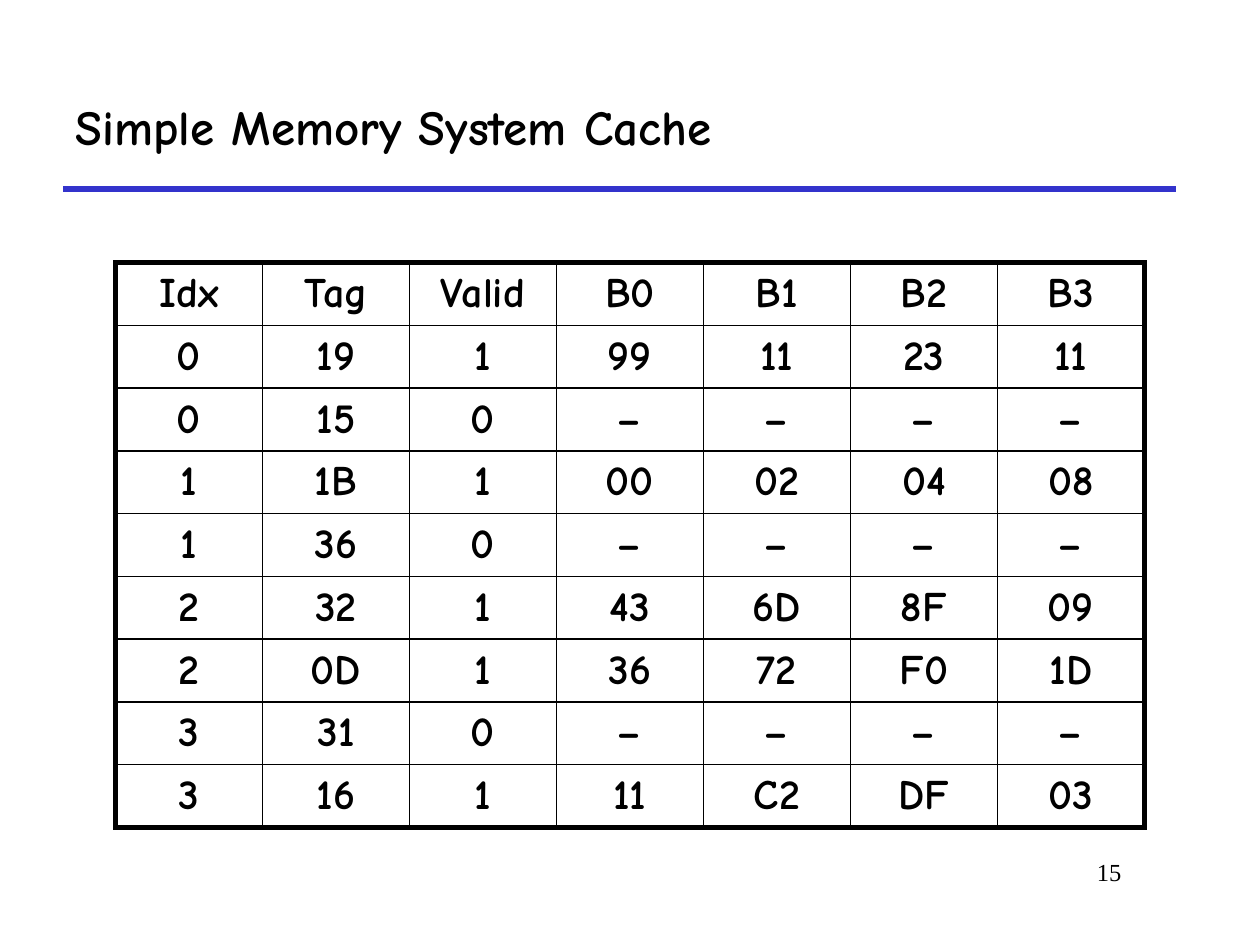
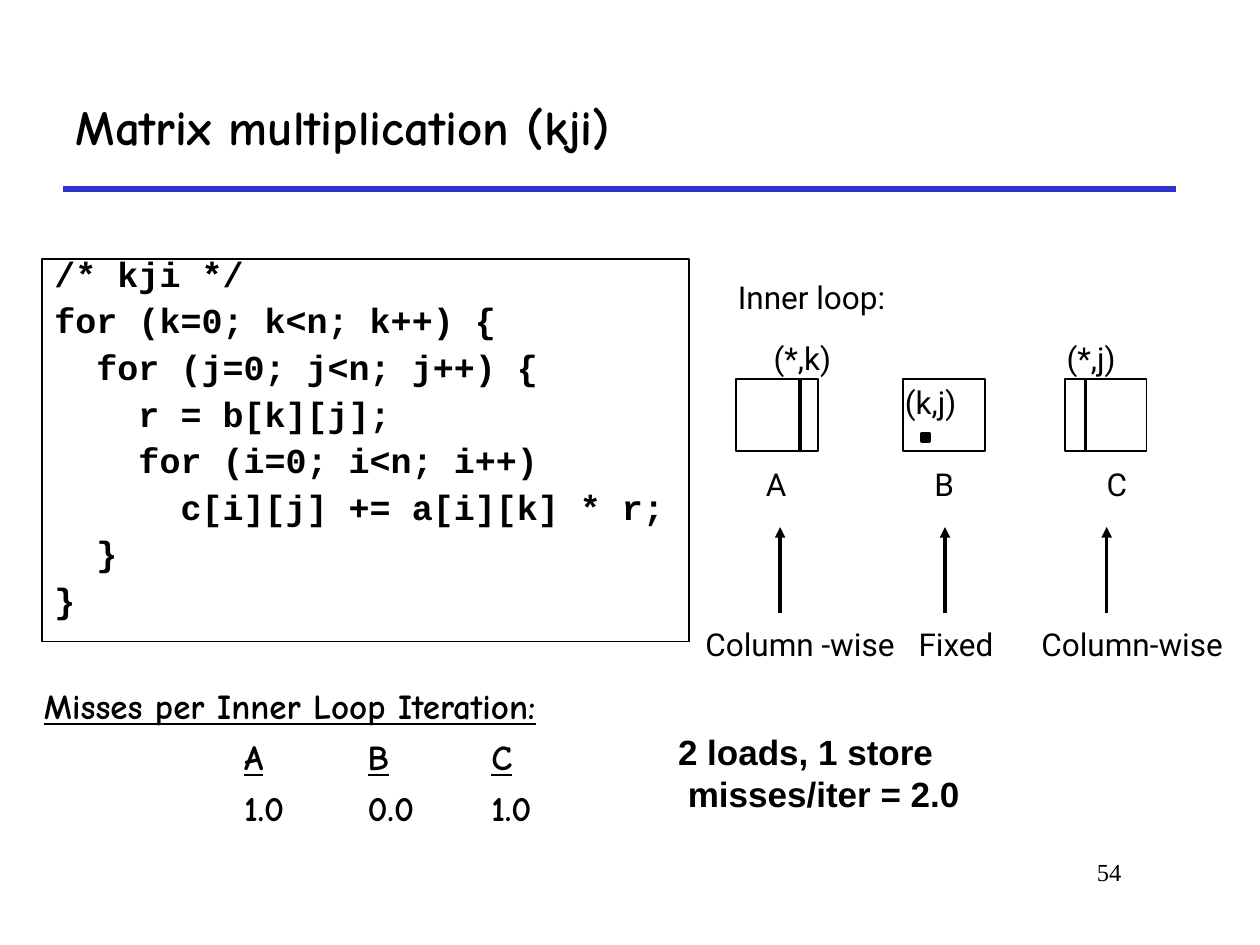
from dataclasses import dataclass
from typing import Any, NamedTuple, Optional

from pptx import Presentation
from pptx.dml.color import RGBColor
from pptx.enum.shapes import MSO_CONNECTOR, MSO_SHAPE
from pptx.enum.text import MSO_ANCHOR, MSO_AUTO_SIZE, PP_ALIGN
from pptx.oxml.xmlchemy import OxmlElement
from pptx.util import Emu, Inches, Pt


@dataclass(frozen=True)
class Theme:
    ink: RGBColor = RGBColor(0x00, 0x00, 0x00)
    paper: RGBColor = RGBColor(0xFF, 0xFF, 0xFF)
    rule: RGBColor = RGBColor(0x33, 0x33, 0xCC)
    heading_font: str = "Comic Neue"
    code_font: str = "Courier New"
    label_font: str = "Roboto"
    result_font: str = "Arial"
    number_font: str = "Times New Roman"
    title_size: int = 28
    table_size: int = 24
    text_size: int = 20
    label_size: int = 18
    number_size: int = 14
    thin: int = 1
    medium: int = 2
    thick: int = 3


THEME = Theme()

# The slide is a grid of 120 columns by 90 rows
UNIT = Inches(10) / 120


class Box(NamedTuple):
    column: float
    row: float
    columns: float
    rows: float


@dataclass(frozen=True)
class Matrix:
    """One matrix of the inner loop; positions are grid columns."""
    name: str
    square: float
    name_column: float
    index: str
    index_box: Box
    access: str
    access_column: float
    access_columns: float
    arrow: float
    stripe: Optional[float] = None


SQUARE_ROW, SQUARE_COLUMNS, SQUARE_ROWS = 36.1, 7.8, 6.85
NAME_ROW, ARROW_TOP, ARROW_FOOT, ACCESS_ROW = 43.7, 50.2, 58.4, 58.9
LABEL_ROWS = 4.8

CACHE = [line.split() for line in (
    "Idx Tag Valid B0 B1 B2 B3",
    "0 19 1 99 11 23 11",
    "0 15 0 – – – –",
    "1 1B 1 00 02 04 08",
    "1 36 0 – – – –",
    "2 32 1 43 6D 8F 09",
    "2 0D 1 36 72 F0 1D",
    "3 31 0 – – – –",
    "3 16 1 11 C2 DF 03",
)]

KJI_CODE = """/* kji */
for (k=0; k<n; k++) {
  for (j=0; j<n; j++) {
    r = b[k][j];
    for (i=0; i<n; i++)
      c[i][j] += a[i][k] * r;
  }
}"""

MATRICES = (
    Matrix("A", 70.1, 71.75, "(*,k)", Box(72.5, 31.7, 7.9, LABEL_ROWS),
           "Column -wise", 66, 23, 74.3, 76.2),
    Matrix("B", 86, 87.8, "(k,j)", Box(85, 35.9, 7.3, LABEL_ROWS),
           "Fixed", 86.3, 9.7, 90),
    Matrix("C", 101.4, 104.2, "(*,j)", Box(100.4, 31.7, 7.1, LABEL_ROWS),
           "Column-wise", 98, 20, 105.4, 103.4),
)
MISSES = {"A": "1.0", "B": "0.0", "C": "1.0"}


def grid(units: float) -> Emu:
    return Emu(round(units * UNIT))


def place(box: Box) -> tuple[Emu, ...]:
    return tuple(grid(side) for side in box)


def apply_format(target: Any, values: dict[str, Any]) -> None:
    for attribute, value in values.items():
        setattr(target, attribute, value)


def add_run(paragraph: Any, text: str, font: str, size: int,
            bold: bool = False, underline: bool = False) -> None:
    run = paragraph.add_run()
    run.text = text
    apply_format(run.font, {"name": font, "size": Pt(size), "bold": bold,
                            "underline": underline})
    run.font.color.rgb = THEME.ink


def set_frame(frame: Any, wrap: bool = True,
              anchor: MSO_ANCHOR = MSO_ANCHOR.TOP) -> None:
    apply_format(frame, {"word_wrap": wrap, "auto_size": MSO_AUTO_SIZE.NONE,
                         "vertical_anchor": anchor})


def write_lines(frame: Any, lines: list[str], font: str, size: int,
                bold: bool = False, before: float = 0, **layout: Any) -> None:
    for number, line in enumerate(lines):
        paragraph = frame.add_paragraph() if number else frame.paragraphs[0]
        apply_format(paragraph, {"alignment": PP_ALIGN.LEFT, **layout})
        if number and before:
            paragraph.space_before = Pt(before)
        add_run(paragraph, line, font, size, bold)


def add_text(slide: Any, box: Box, text: str, font: str = THEME.label_font,
             size: int = THEME.label_size, bold: bool = False,
             **layout: Any) -> None:
    frame = slide.shapes.add_textbox(*place(box)).text_frame
    set_frame(frame, wrap=False)
    write_lines(frame, text.split("\n"), font, size, bold, **layout)


def add_rectangle(slide: Any, box: Box, fill: Optional[RGBColor],
                  width: int = THEME.thin) -> Any:
    rectangle = slide.shapes.add_shape(MSO_SHAPE.RECTANGLE, *place(box))
    rectangle.shadow.inherit = False
    if fill is None:
        rectangle.fill.background()
    else:
        rectangle.fill.solid()
        rectangle.fill.fore_color.rgb = fill
    rectangle.line.color.rgb = THEME.ink
    rectangle.line.width = Pt(width)
    return rectangle


def add_line(slide: Any, start: tuple[float, float], end: tuple[float, float],
             color: RGBColor = THEME.ink, width: int = THEME.medium,
             arrow: bool = False) -> None:
    line = slide.shapes.add_connector(
        MSO_CONNECTOR.STRAIGHT, *(grid(units) for units in (*start, *end)))
    line.line.color.rgb = color
    line.line.width = Pt(width)
    if arrow:
        head = OxmlElement("a:tailEnd")
        head.set("type", "triangle")
        line.line._get_or_add_ln().append(head)
    line._element.spPr.append(OxmlElement("a:effectLst"))


def add_titled_slide(deck: Any, title: str, number: int) -> Any:
    slide = deck.slides.add_slide(deck.slide_layouts[5])
    heading = slide.shapes.title
    sides = place(Box(6, 6, 106, 12))
    apply_format(heading, dict(zip(("left", "top", "width", "height"), sides)))
    set_frame(heading.text_frame, anchor=MSO_ANCHOR.MIDDLE)
    write_lines(heading.text_frame, [title], THEME.heading_font,
                THEME.title_size, bold=True)
    add_line(slide, (6, 18), (112, 18), THEME.rule, THEME.thick)
    add_text(slide, Box(91, 81, 17, 6), str(number), THEME.number_font,
             THEME.number_size, alignment=PP_ALIGN.RIGHT)
    return slide


def set_borders(cell: Any, outer: dict[str, bool]) -> None:
    properties = cell._tc.get_or_add_tcPr()
    for position, side in enumerate("LRTB"):
        border = OxmlElement(f"a:ln{side}")
        border.set("w", str(Pt(THEME.thick if outer[side] else THEME.thin)))
        fill = OxmlElement("a:solidFill")
        color = OxmlElement("a:srgbClr")
        color.set("val", str(THEME.ink))
        fill.append(color)
        border.append(fill)
        properties.insert(position, border)


def add_cache_table(slide: Any, box: Box, entries: list[list[str]]) -> None:
    rows, columns = len(entries), len(entries[0])
    table = slide.shapes.add_table(rows, columns, *place(box)).table
    apply_format(table, {"first_row": False, "horz_banding": False})
    for column in table.columns:
        column.width = grid(box.columns / columns)
    for row in table.rows:
        row.height = grid(box.rows / rows)
    for r, entry in enumerate(entries):
        for c, value in enumerate(entry):
            cell = table.cell(r, c)
            cell.vertical_anchor = MSO_ANCHOR.MIDDLE
            cell.fill.background()
            write_lines(cell.text_frame, [value], THEME.heading_font,
                        THEME.table_size, True, alignment=PP_ALIGN.CENTER)
            set_borders(cell, {"L": c == 0, "R": c == columns - 1,
                               "T": r == 0, "B": r == rows - 1})


def add_matrix(slide: Any, matrix: Matrix) -> None:
    add_rectangle(slide, Box(matrix.square, SQUARE_ROW, SQUARE_COLUMNS,
                             SQUARE_ROWS), THEME.paper)
    if matrix.stripe is None:
        add_rectangle(slide, Box(87.8, 41.3, 0.7, 0.7), THEME.ink, THEME.medium)
    else:
        add_line(slide, (matrix.stripe, SQUARE_ROW + SQUARE_ROWS),
                 (matrix.stripe, SQUARE_ROW))
    add_text(slide, matrix.index_box, matrix.index)
    add_text(slide, Box(matrix.name_column, NAME_ROW, 4.4, LABEL_ROWS),
             matrix.name)
    add_line(slide, (matrix.arrow, ARROW_FOOT), (matrix.arrow, ARROW_TOP),
             arrow=True)
    add_text(slide, Box(matrix.access_column, ACCESS_ROW,
                        matrix.access_columns, LABEL_ROWS), matrix.access)


def add_tab_stops(paragraph: Any, stops: list[float]) -> None:
    tabs = OxmlElement("a:tabLst")
    for stop in stops:
        tab = OxmlElement("a:tab")
        tab.set("pos", str(grid(stop)))
        tab.set("algn", "l")
        tabs.append(tab)
    paragraph._p.get_or_add_pPr().append(tabs)


def add_misses(slide: Any, box: Box) -> None:
    frame = slide.shapes.add_textbox(*place(box)).text_frame
    set_frame(frame)
    style = {"font": THEME.heading_font, "size": THEME.text_size, "bold": True}
    add_run(frame.paragraphs[0], "Misses per Inner Loop Iteration:",
            underline=True, **style)
    stops = [7.3 + 11.77 * step for step in range(len(MISSES) + 1)]
    for entries, underline in ((MISSES.keys(), True), (MISSES.values(), False)):
        paragraph = frame.add_paragraph()
        add_tab_stops(paragraph, stops)
        paragraph.space_before = Pt(5)
        add_run(paragraph, "\t", **style)
        for entry in entries:
            add_run(paragraph, "\t", **style)
            add_run(paragraph, entry, underline=underline, **style)


def build_cache_slide(deck: Any) -> None:
    slide = add_titled_slide(deck, "Simple Memory System Cache", 15)
    add_cache_table(slide, Box(11, 25, 98, 53.8), CACHE)


def build_matrix_slide(deck: Any) -> None:
    slide = add_titled_slide(deck, "Matrix multiplication (kji)", 54)
    # Code listing
    listing = add_rectangle(slide, Box(4, 24.7, 61.6, 36.4), None).text_frame
    set_frame(listing)
    write_lines(listing, KJI_CODE.split("\n"), THEME.code_font,
                THEME.text_size, True, before=11, line_spacing=0.65)
    # Access patterns of the inner loop
    add_text(slide, Box(69.1, 25.9, 16.6, LABEL_ROWS), "Inner loop:")
    for matrix in MATRICES:
        add_matrix(slide, matrix)
    # Miss counts
    add_misses(slide, Box(3, 64.6, 63.1, 16))
    add_text(slide, Box(63.4, 69, 34.6, 9.2),
             "2 loads, 1 store\n misses/iter = 2.0", THEME.result_font,
             THEME.text_size, True)


def main() -> None:
    deck = Presentation()
    deck.slide_width, deck.slide_height = grid(120), grid(90)
    build_cache_slide(deck)
    build_matrix_slide(deck)
    deck.save("out.pptx")


if __name__ == "__main__":
    main()
